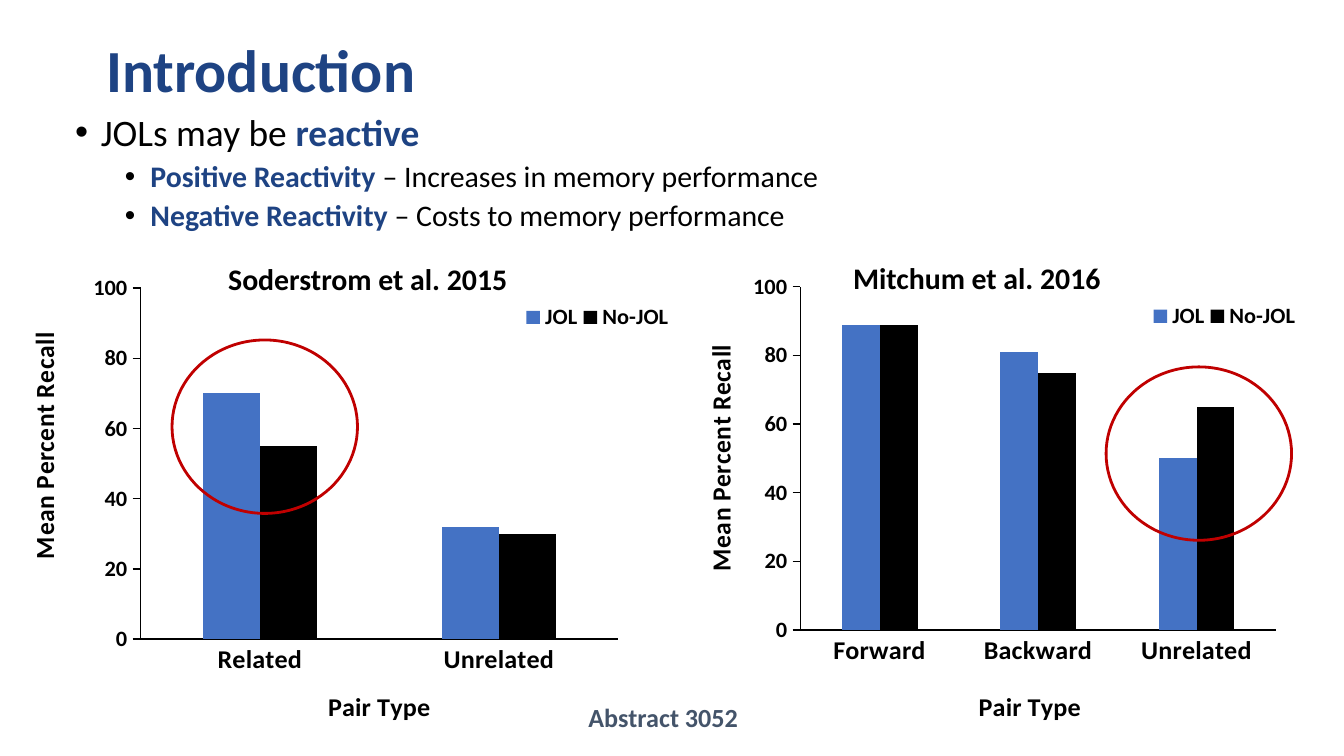
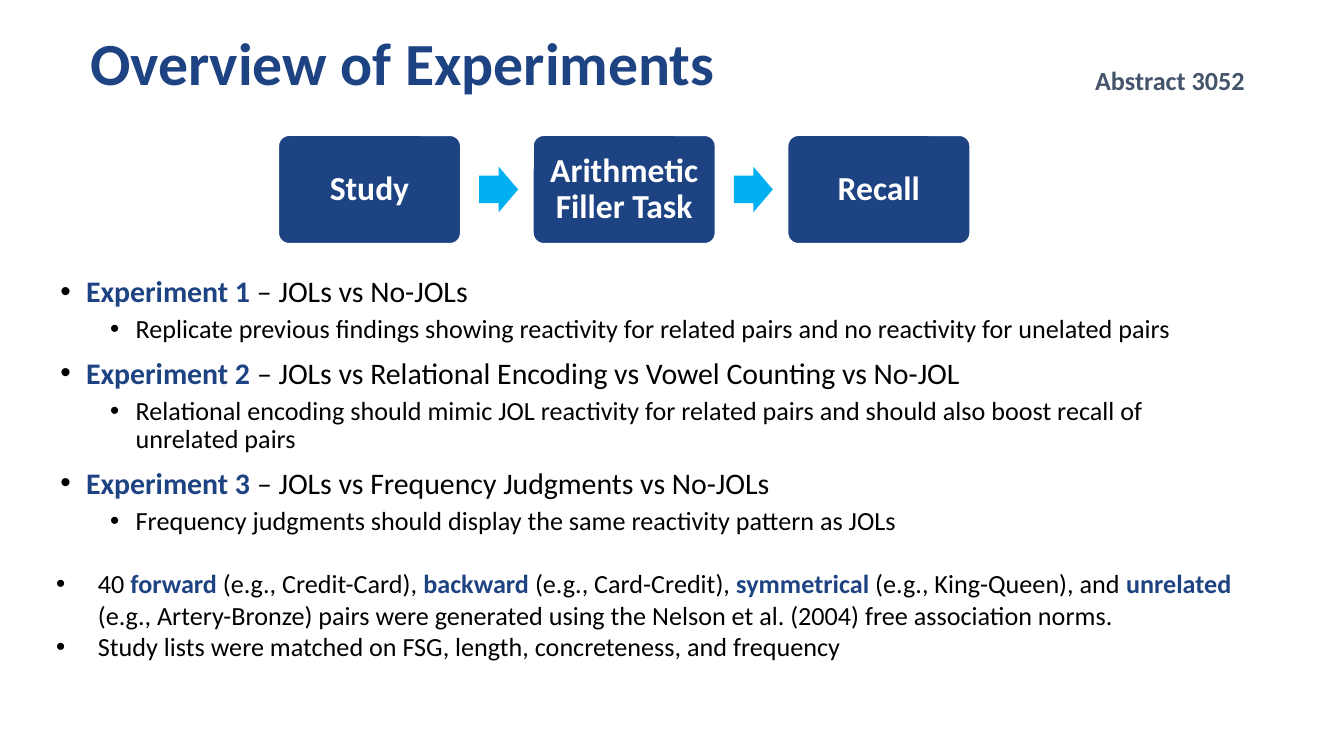
import pptx
import pptx.chart.data
import pptx.dml.color
import pptx.enum.chart
import pptx.enum.shapes
import pptx.enum.text
import pptx.oxml
import pptx.oxml.ns
import pptx.util

INK = {"navy": "1E4383", "black": "000000", "blue": "4472C4", "red": "C00000",
       "slate": "44546A", "sky": "00B0F0", "white": "FFFFFF"}
FONT = "Calibri"
COLS, ROWS = 100, 56.25
UNIT = pptx.util.Inches(0.1)
PLAIN, KEY = ("black", False), ("navy", True)
ANCHOR = pptx.enum.text.MSO_ANCHOR
ALIGN = pptx.enum.text.PP_ALIGN
SHAPE = pptx.enum.shapes.MSO_SHAPE
CHART = pptx.enum.chart


def rgb(name):
    """Return a named colour."""
    return pptx.dml.color.RGBColor.from_string(INK[name])


def grid(*cells):
    """Turn grid columns and rows into slide lengths."""
    return [round(cell * UNIT) for cell in cells]


def style(font, size, ink="black", bold=True):
    """Set the face, size, colour and weight of a font."""
    font.name, font.size, font.bold = FONT, pptx.util.Pt(size), bold
    font.color.rgb = rgb(ink)


def write(para, text, size, base=PLAIN, key=KEY):
    """Add runs, with the parts between asterisks in the key style."""
    for turn, part in enumerate(text.split("*")):
        if part:
            run = para.add_run()
            run.text = part
            style(run.font, size, *(key if turn % 2 else base))


def bullet(para, left, hang):
    """Give a paragraph a black bullet and a hanging indent."""
    props = para._p.get_or_add_pPr()
    props.set("marL", str(grid(left)[0]))
    props.set("indent", str(-grid(hang)[0]))
    names = pptx.oxml.ns.nsdecls("a")
    for tag in (f'<a:buClr {names}><a:srgbClr val="{INK["black"]}"/></a:buClr>',
                f'<a:buFont {names} typeface="Arial"/>',
                f'<a:buChar {names} char="•"/>'):
        props.append(pptx.oxml.parse_xml(tag))


def paras(frame, count):
    """Return the given number of paragraphs of a frame."""
    return [frame.paragraphs[0]] + [frame.add_paragraph() for _ in range(count - 1)]


def move(shape, box):
    """Place a shape on the grid."""
    shape.left, shape.top, shape.width, shape.height = grid(*box)


def head(slide, box, text):
    """Fill the title placeholder."""
    move(slide.shapes.title, box)
    frame = slide.shapes.title.text_frame
    frame.auto_size = pptx.enum.text.MSO_AUTO_SIZE.NONE
    frame.vertical_anchor = ANCHOR.MIDDLE
    para = frame.paragraphs[0]
    para.alignment, para.line_spacing = ALIGN.LEFT, 0.9
    write(para, text, 32, KEY)


def points(slide, box, items, sizes):
    """Fill the body placeholder with a list of two levels."""
    body = slide.placeholders[1]
    move(body, box)
    frame = body.text_frame
    frame.auto_size = pptx.enum.text.MSO_AUTO_SIZE.NONE
    for turn, (para, (level, text)) in enumerate(zip(paras(frame, len(items)), items)):
        para.level = level
        bullet(para, (1.9, 5.6)[level], 1.9)
        para.line_spacing = 0.9
        para.space_before = pptx.util.Pt((7.5, 3.8)[level] if turn else 0)
        write(para, text, sizes[level])


def label(slide, box, text, size, ink):
    """Add a bold line of text."""
    frame = slide.shapes.add_textbox(*grid(*box)).text_frame
    frame.word_wrap = True
    write(frame.paragraphs[0], text, size, (ink, True))


def tag(slide, col, row, width):
    """Add the abstract number."""
    label(slide, (col, row, width, 3.4), "Abstract 3052", 14, "slate")


def shape(slide, kind, box, fill=None, line=None, width=1):
    """Add a flat preset shape."""
    item = slide.shapes.add_shape(kind, *grid(*box))
    item.shadow.inherit = False
    if fill:
        item.fill.solid()
        item.fill.fore_color.rgb = rgb(fill)
    else:
        item.fill.background()
    if line:
        item.line.color.rgb = rgb(line)
        item.line.width = pptx.util.Pt(width)
    else:
        item.line.fill.background()
    return item


def pin(part, index, inner=False, **shares):
    """Fix the layout of a chart part by shares of the chart."""
    for old in part.findall(pptx.oxml.ns.qn("c:layout")):
        part.remove(old)
    rules = '<c:layoutTarget val="inner"/>' if inner else ""
    rules += "".join(f'<c:{side}Mode val="edge"/>' for side in "xy")
    rules += "".join(f'<c:{side} val="{share}"/>' for side, share in shares.items())
    part.insert(index, pptx.oxml.parse_xml(
        f'<c:layout {pptx.oxml.ns.nsdecls("c")}><c:manualLayout>{rules}'
        '</c:manualLayout></c:layout>'))


def axis(item, text, size, tick, spot):
    """Format an axis and its title."""
    item.has_major_gridlines = False
    item.major_tick_mark, item.minor_tick_mark = tick, CHART.XL_TICK_MARK.NONE
    item.format.line.color.rgb = rgb("black")
    item.format.line.width = pptx.util.Pt(0.75)
    style(item.tick_labels.font, size)
    title = item.axis_title
    write(title.text_frame.paragraphs[0], text, 14, ("black", True))
    pin(title._element, 1, x=spot[0], y=spot[1])


def bars(slide, box, cats, rows, plot, spots):
    """Add a recall chart."""
    data = pptx.chart.data.CategoryChartData()
    data.categories = cats
    for name, vals in zip(("JOL", "No-JOL"), rows):
        data.add_series(name, vals)
    chart = slide.shapes.add_chart(
        CHART.XL_CHART_TYPE.COLUMN_CLUSTERED, *grid(*box), data).chart
    chart.has_title = False
    style(chart.font, 10, bold=False)
    group = chart.plots[0]
    group.gap_width, group.overlap, group.vary_by_categories = 219, 0, False
    for series, ink in zip(group.series, ("blue", "black")):
        series.format.fill.solid()
        series.format.fill.fore_color.rgb = rgb(ink)
    pin(chart._chartSpace.chart.plotArea, 0, True, x=0.2, y=0.04, w=plot[0], h=plot[1])
    axis(chart.category_axis, "Pair Type", 14, CHART.XL_TICK_MARK.NONE, spots[0])
    value = chart.value_axis
    value.minimum_scale, value.maximum_scale, value.major_unit = 0, 100, 20
    axis(value, "Mean Percent Recall", 12, CHART.XL_TICK_MARK.OUTSIDE, spots[1])
    chart.has_legend = True
    legend = chart.legend
    legend.position = CHART.XL_LEGEND_POSITION.RIGHT
    legend.include_in_layout = False
    style(legend.font, 12)
    pin(legend._element, 1, x=0.74, y=0.07, w=round(11.5 / box[2], 2), h=0.07)


def panel(slide, box, name, cats, rows, plot, spots, cap, ring):
    """Add a chart with its caption and the ring on its key result."""
    left, top = box[:2]
    bars(slide, box, cats, rows, plot, spots)
    label(slide, (left + cap, top - 1.2, 36, 3.7), name, 16, "black")
    shape(slide, SHAPE.OVAL, (left + ring[0], top + ring[1], 13.8, 12.9),
          line="red", width=1.5)


def flow(slide, box, steps):
    """Add a row of steps with arrows between them."""
    left, top, width, height = box
    wide = 13.6
    pitch = (width - wide) / (len(steps) - 1)
    for turn, text in enumerate(steps):
        col = left + turn * pitch
        step = shape(slide, SHAPE.ROUNDED_RECTANGLE, (col, top, wide, height),
                     "navy", "white")
        step.adjustments[0] = 0.1
        frame = step.text_frame
        frame.word_wrap, frame.vertical_anchor = True, ANCHOR.MIDDLE
        frame.margin_left = frame.margin_right = grid(0.9)[0]
        para = frame.paragraphs[0]
        para.alignment, para.line_spacing = ALIGN.CENTER, 0.9
        write(para, text, 18, ("white", True))
        if turn:
            arrow = shape(slide, SHAPE.RIGHT_ARROW,
                          (col - 4, top + height / 2 - 1.7, 2.9, 3.4), "sky")
            arrow.adjustments[0] = 0.6


def notes(slide, box, items):
    """Add the bulleted notes on materials."""
    frame = slide.shapes.add_textbox(*grid(*box)).text_frame
    frame.word_wrap = True
    for para, text in zip(paras(frame, len(items)), items):
        bullet(para, 3.1, 3.1)
        write(para, text, 14)


def intro(slide):
    """Build the introduction."""
    head(slide, (6.9, 0, 86.2, 10.9), "Introduction")
    points(slide, (4.6, 8, 86.2, 36.3), [
        (0, "JOLs may be *reactive*"),
        (1, "*Positive Reactivity *– Increases in memory performance"),
        (1, "*Negative Reactivity *– Costs to memory performance")], (20, 16))
    panel(slide, (50, 20, 47.8, 34.4), "Mitchum et al. 2016",
          ("Forward", "Backward", "Unrelated"), ((89, 81, 50), (89, 75, 65)),
          (0.74, 0.76), ((0.47, 0.92), (0.04, 0.17)), 12.5, (32.3, 7.3))
    panel(slide, (0, 20.1, 52.3, 34.3), "Soderstrom et al. 2015",
          ("Related", "Unrelated"), ((70, 32), (55, 30)),
          (0.68, 0.78), ((0.46, 0.92), (0.03, 0.14)), 16, (12.8, 5.2))
    tag(slide, 42.8, 51.7, 35.7)


def plan(slide):
    """Build the overview of experiments."""
    head(slide, (5.7, -0.5, 86.2, 10.9), "Overview of Experiments")
    points(slide, (3.5, 20.1, 90.5, 29.7), [
        (0, "*Experiment 1* – JOLs vs No-JOLs"),
        (1, "Replicate previous findings showing reactivity for related pairs "
            "and no reactivity for unelated pairs"),
        (0, "*Experiment 2 *– JOLs vs Relational Encoding vs Vowel Counting vs No-JOL"),
        (1, "Relational encoding should mimic JOL reactivity for related pairs "
            "and should also boost recall of unrelated pairs"),
        (0, "*Experiment 3 *– JOLs vs Frequency Judgments vs No-JOLs"),
        (1, "Frequency judgments should display the same reactivity pattern as JOLs"),
    ], (16, 14))
    flow(slide, (20.7, 10.05, 51.5, 8.1), ("Study", "Arithmetic Filler Task", "Recall"))
    notes(slide, (3.2, 41.75, 93.2, 8.1), (
        "40* forward* (e.g., Credit-Card), *backward* (e.g., Card-Credit), "
        "*symmetrical* (e.g., King-Queen), and *unrelated* (e.g., Artery-Bronze) "
        "pairs were generated using the Nelson et al. (2004) free association norms.",
        "Study lists were matched on FSG, length, concreteness, and frequency"))
    tag(slide, 80.5, 4.3, 19)


def main():
    """Build and save the deck."""
    deck = pptx.Presentation()
    deck.slide_width, deck.slide_height = grid(COLS, ROWS)
    for build in (intro, plan):
        build(deck.slides.add_slide(deck.slide_layouts[1]))
    deck.save("out.pptx")


if __name__ == "__main__":
    main()
